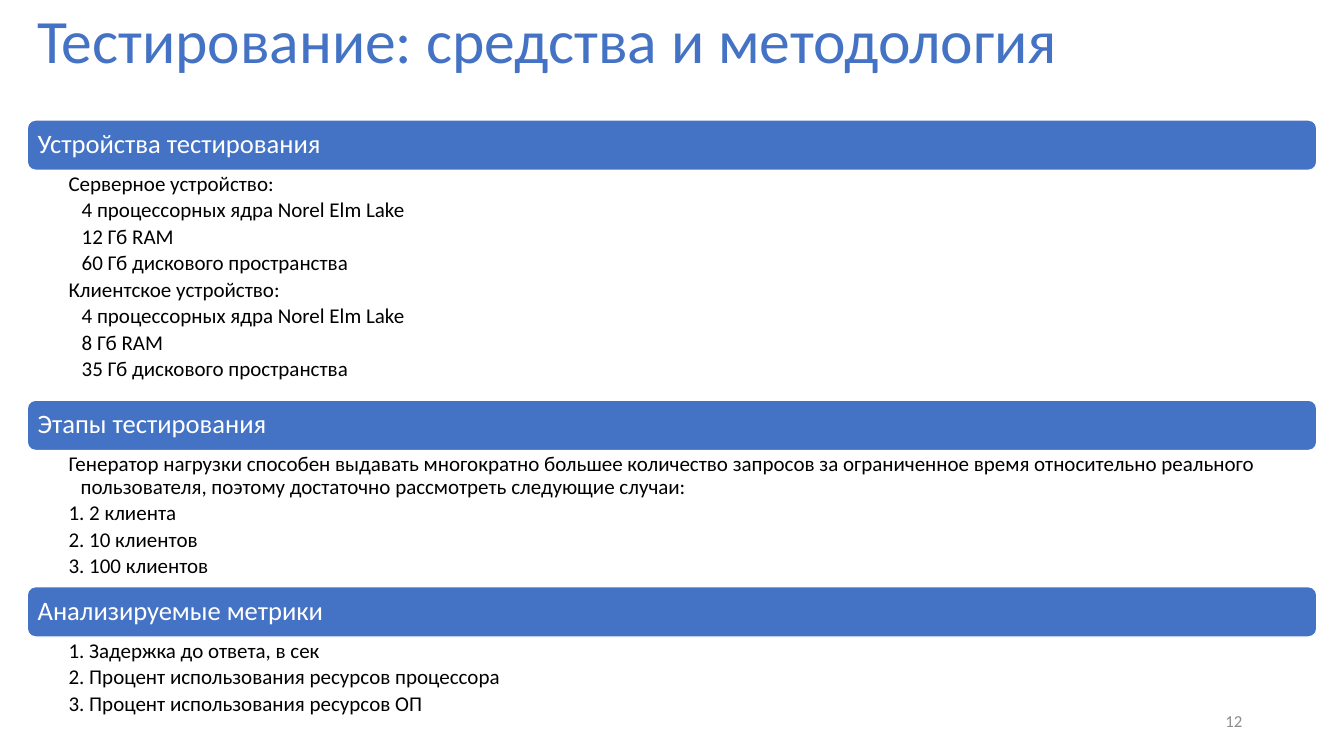
from lxml.etree import SubElement
from pptx import Presentation
from pptx.dml.color import RGBColor
from pptx.enum.shapes import MSO_SHAPE as Shape
from pptx.enum.text import MSO_ANCHOR as Anchor, PP_ALIGN as Align
from pptx.oxml.ns import qn
from pptx.util import Inches, Pt

BLUE, WHITE, BLACK, GRAY = "4472C4", "FFFFFF", "000000", "8C8C8C"
LEFT, WIDTH, BAR_HEIGHT = 0.27, 12.79, 0.5
HANGING = 0.12


def rgb(value):
    return RGBColor.from_string(value)


def style(paragraph, size, color, spacing=0.9):
    paragraph.font.name = "Calibri"
    paragraph.font.size = Pt(size)
    paragraph.font.color.rgb = rgb(color)
    paragraph.line_spacing = spacing


# Sections: heading, top of the bar, height of the body, lines as (kind, text)
sections = [
    ("Устройства тестирования", 1.19, 2.28, [
        ("plain", "Серверное устройство:"),
        ("nested", "4 процессорных ядра Norel Elm Lake"),
        ("nested", "12 Гб RAM"),
        ("nested", "60 Гб дискового пространства"),
        ("plain", "Клиентское устройство:"),
        ("nested", "4 процессорных ядра Norel Elm Lake"),
        ("nested", "8 Гб RAM"),
        ("nested", "35 Гб дискового пространства"),
    ]),
    ("Этапы тестирования", 3.97, 1.35, [
        ("plain", "Генератор нагрузки способен выдавать многократно большее "
                  "количество запросов за ограниченное время относительно реального "
                  "пользователя, поэтому достаточно рассмотреть следующие случаи:"),
        ("numbered", " 2 клиента"),
        ("numbered", " 10 клиентов"),
        ("numbered", " 100 клиентов"),
    ]),
    ("Анализируемые метрики", 5.82, 0.86, [
        ("numbered", " Задержка до ответа, в сек"),
        ("numbered", " Процент использования ресурсов процессора"),
        ("numbered", " Процент использования ресурсов ОП"),
    ]),
]

presentation = Presentation()
presentation.slide_width = Inches(13.33)
presentation.slide_height = Inches(7.5)
slide = presentation.slides.add_slide(presentation.slide_layouts[6])
shapes = slide.shapes

# Title
title = shapes.add_textbox(Inches(LEFT), 0, Inches(10.81), Inches(0.87)).text_frame
title.word_wrap = True
title.vertical_anchor = Anchor.MIDDLE
title.text = "Тестирование: средства и методология"
style(title.paragraphs[0], 44, BLUE)

for heading, top, body_height, lines in sections:
    # Heading bar
    bar = shapes.add_shape(Shape.ROUNDED_RECTANGLE, Inches(LEFT), Inches(top),
                           Inches(WIDTH), Inches(BAR_HEIGHT))
    bar.shadow.inherit = False
    bar.fill.solid()
    bar.fill.fore_color.rgb = rgb(BLUE)
    bar.line.color.rgb = rgb(WHITE)
    bar.line.width = Pt(1)
    label = bar.text_frame
    label.margin_left = label.margin_right = Inches(0.08)
    label.vertical_anchor = Anchor.MIDDLE
    label.text = heading
    label.paragraphs[0].alignment = Align.LEFT
    style(label.paragraphs[0], 19, WHITE)

    # Section body
    body = shapes.add_textbox(Inches(LEFT), Inches(top + BAR_HEIGHT),
                              Inches(WIDTH), Inches(body_height)).text_frame
    body.word_wrap = True
    body.margin_left, body.margin_right = Inches(0.41), Inches(0.15)
    body.margin_top = body.margin_bottom = Inches(0.03)
    body.text = "\n".join(text for kind, text in lines)
    for paragraph, (kind, text) in zip(body.paragraphs, lines):
        nested = kind == "nested"
        paragraph.level = 2 if nested else 1
        style(paragraph, 15, BLACK)
        paragraph.space_after = Pt(2.7)
        properties = paragraph._p.get_or_add_pPr()
        properties.set("marL", str(Inches(0.25 if nested else HANGING)))
        properties.set("indent", str(-Inches(HANGING)))
        if kind == "numbered":
            numbering = SubElement(properties, qn("a:buAutoNum"), type="arabicPeriod")
            properties.find(qn("a:defRPr")).addprevious(numbering)

# Slide number
number = shapes.add_textbox(Inches(9.42), Inches(6.95), Inches(3), Inches(0.4)).text_frame
number.word_wrap = True
number.vertical_anchor = Anchor.MIDDLE
number.text = "12"
number.paragraphs[0].alignment = Align.RIGHT
style(number.paragraphs[0], 12, GRAY, 1.0)

presentation.save("out.pptx")
